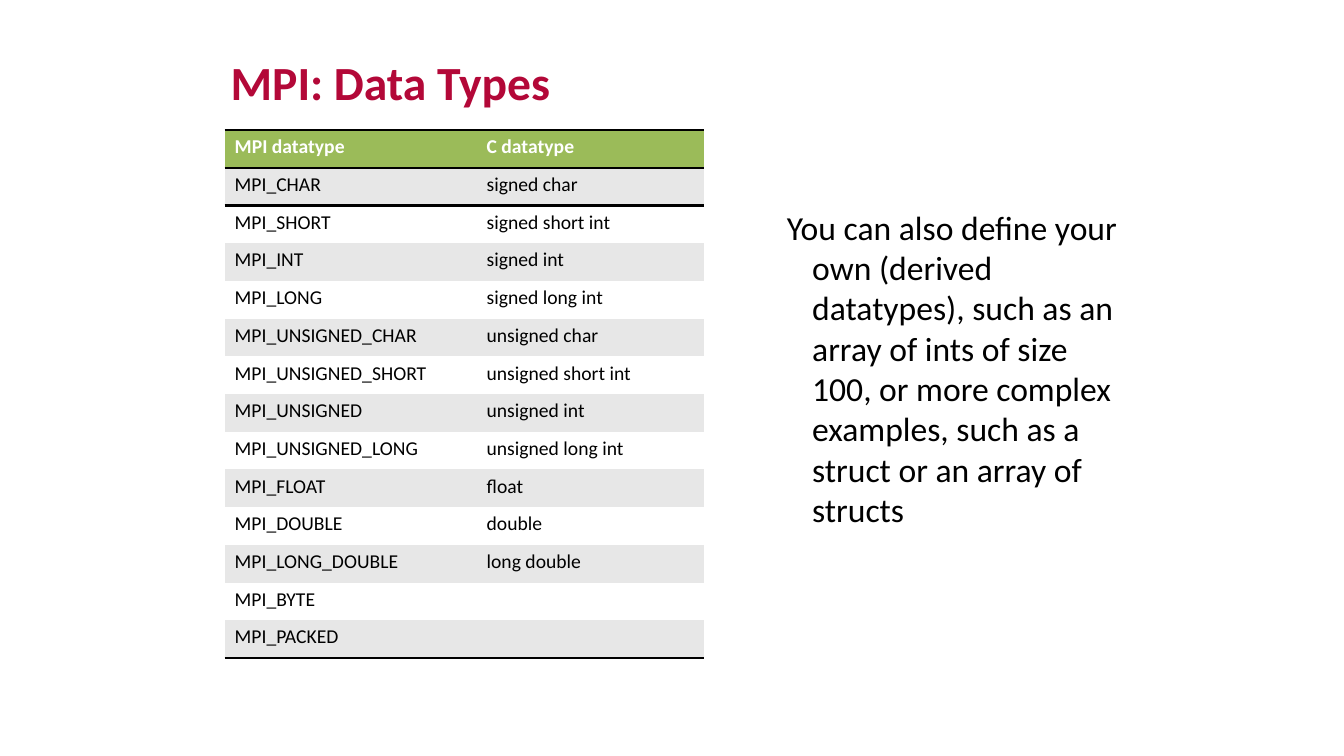
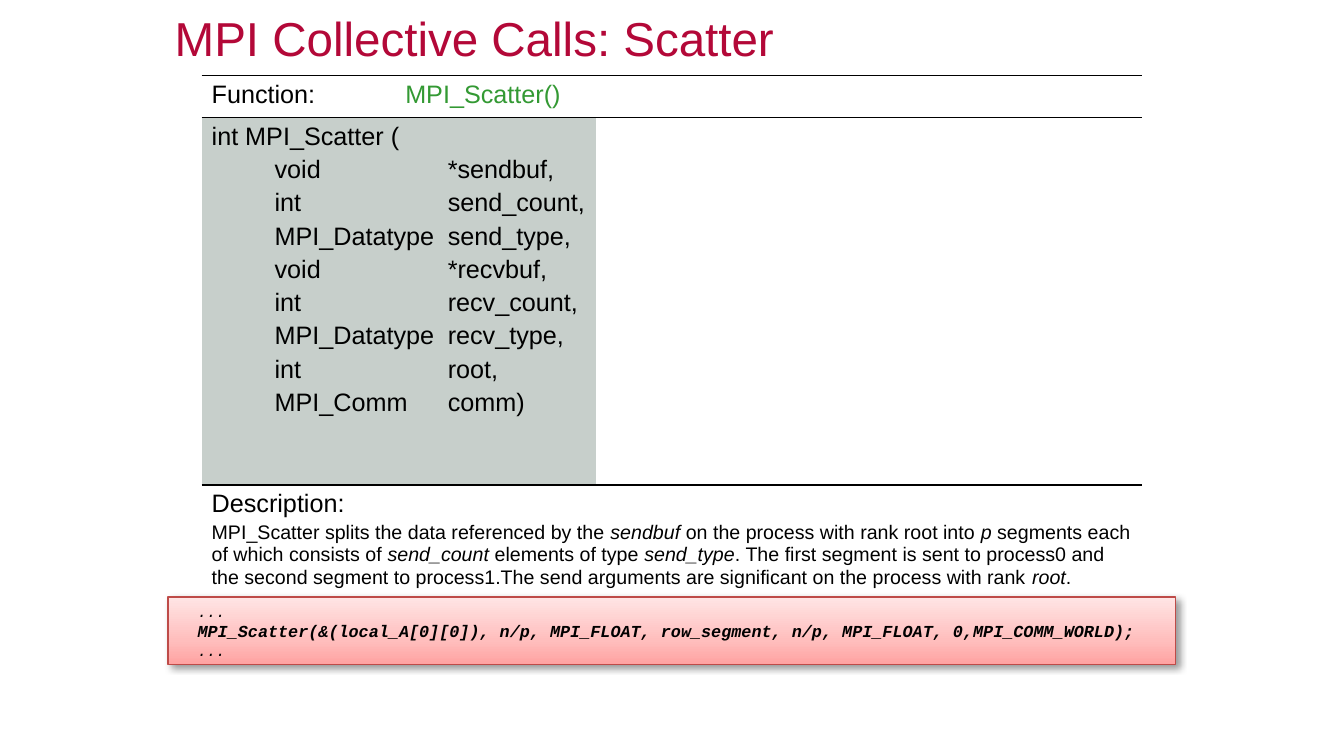
from lxml import etree
from pptx import Presentation
from pptx.dml.color import RGBColor
from pptx.enum.shapes import MSO_SHAPE
from pptx.enum.text import MSO_ANCHOR, MSO_AUTO_SIZE, PP_ALIGN
from pptx.oxml.ns import qn
from pptx.util import Cm, Pt

LEFT, CENTER = PP_ALIGN.LEFT, PP_ALIGN.CENTER
TOP, MIDDLE = MSO_ANCHOR.TOP, MSO_ANCHOR.MIDDLE
NO_FIT = MSO_AUTO_SIZE.NONE
RECT = MSO_SHAPE.RECTANGLE

CRIMSON = RGBColor(0xB3, 0x08, 0x38)
BLACK = RGBColor(0x00, 0x00, 0x00)
WHITE = RGBColor(0xFF, 0xFF, 0xFF)
HEADER_GREEN = RGBColor(0x9B, 0xBB, 0x59)
BAND_GRAY = RGBColor(0xE7, 0xE7, 0xE7)
NAME_GREEN = RGBColor(0x33, 0x99, 0x33)
CODE_GRAY = RGBColor(0xC7, 0xCF, 0xCB)
CALL_RED = RGBColor(0xBE, 0x4B, 0x48)
CALL_STOPS = [
    (0, RGBColor(0xFF, 0xE5, 0xE5)),
    (65, RGBColor(0xFF, 0xBE, 0xBD)),
    (100, RGBColor(0xFF, 0xA2, 0xA1)),
]
PLAIN_TABLE = "{2D5ABB26-0587-4C30-8999-92F81FD0307C}"

TITLES = [
    ("MPI: Data Types", "Calibri", True, LEFT, TOP, (5.56, 1.2, 12.73, 1.55)),
    ("MPI Collective Calls: Scatter", "Arial", False, CENTER, MIDDLE,
     (1.9, 0, 20.12, 1.87)),
]
DATATYPES = [
    ("MPI datatype", "C datatype"),
    ("MPI_CHAR", "signed char"),
    ("MPI_SHORT", "signed short int"),
    ("MPI_INT", "signed int"),
    ("MPI_LONG", "signed long int"),
    ("MPI_UNSIGNED_CHAR", "unsigned char"),
    ("MPI_UNSIGNED_SHORT", "unsigned short int"),
    ("MPI_UNSIGNED", "unsigned int"),
    ("MPI_UNSIGNED_LONG", "unsigned long int"),
    ("MPI_FLOAT", "float"),
    ("MPI_DOUBLE", "double"),
    ("MPI_LONG_DOUBLE", "long double"),
    ("MPI_BYTE", ""),
    ("MPI_PACKED", ""),
]
SIGNATURE = [
    "int MPI_Scatter (",
    "         void\t*sendbuf,",
    "         int\tsend_count,",
    "         MPI_Datatype\tsend_type,",
    "         void\t*recvbuf,",
    "         int\trecv_count,",
    "         MPI_Datatype\trecv_type,",
    "         int\troot,",
    "         MPI_Comm\tcomm)",
]
DESCRIPTION = [
    ("MPI_Scatter splits the data referenced by the ", False),
    ("sendbuf", True),
    (" on the process with rank root into ", False),
    ("p", True),
    (" segments each of which consists of ", False),
    ("send_count", True),
    (" elements of type ", False),
    ("send_type", True),
    (". The first segment is sent to process0 and the second segment to "
     "process1.The send arguments are significant on the process with rank ", False),
    ("root", True),
    (".", False),
]
CALL = [
    ("...", 11, False),
    ("MPI_Scatter(&(local_A[0][0]), n/p, MPI_FLOAT, row_segment, n/p, "
     "MPI_FLOAT, 0,MPI_COMM_WORLD);", 12, True),
    ("...", 11, False),
]


def add_run(p, text, font, size, color=BLACK, bold=False, italic=False):
    r = p.add_run()
    r.text = text
    r.font.name = font
    r.font.size = Pt(size)
    r.font.color.rgb = color
    r.font.bold = bold
    r.font.italic = italic


def add_ruled_table(s, left, top, widths, heights, rules, weight):
    frame = s.shapes.add_table(len(heights), len(widths), Cm(left), Cm(top),
                               Cm(sum(widths)), Cm(sum(heights)))
    table = frame.table
    table.horz_banding = False
    table._tbl.tblPr.find(qn("a:tableStyleId")).text = PLAIN_TABLE
    for col, width in zip(table.columns, widths):
        col.width = Cm(width)
    for row, height in zip(table.rows, heights):
        row.height = Cm(height)
    for i, row in enumerate(table.rows):
        for cell in row.cells:
            tcPr = cell._tc.get_or_add_tcPr()
            for side, edge in (("a:lnT", i), ("a:lnB", i + 1)):
                if edge in rules:
                    ln = etree.SubElement(tcPr, qn(side), w=str(Pt(weight)))
                    fill = etree.SubElement(ln, qn("a:solidFill"))
                    etree.SubElement(fill, qn("a:srgbClr"), val=str(BLACK))
    return table


prs = Presentation()
prs.slide_width = Cm(33.87)
prs.slide_height = Cm(19.05)

slides = []
for text, font, bold, align, anchor, box in TITLES:
    s = prs.slides.add_slide(prs.slide_layouts[5])
    title = s.shapes.title
    title.left, title.top, title.width, title.height = [Cm(v) for v in box]
    tf = title.text_frame
    tf.auto_size = NO_FIT
    tf.vertical_anchor = anchor
    p = tf.paragraphs[0]
    p.alignment = align
    add_run(p, text, font, 34, CRIMSON, bold)
    slides.append(s)
types_slide, scatter_slide = slides

rows = len(DATATYPES)
table = add_ruled_table(types_slide, 5.66, 3.28, [6.35, 5.72], [0.95] * rows,
                        (0, 1, rows), 2)
for i, names in enumerate(DATATYPES):
    header = i == 0
    for j, name in enumerate(names):
        cell = table.cell(i, j)
        cell.fill.solid()
        cell.fill.fore_color.rgb = HEADER_GREEN if header else BAND_GRAY if i % 2 else WHITE
        p = cell.text_frame.paragraphs[0]
        if name:
            add_run(p, name, "Calibri", 14, WHITE if header else BLACK, header)
        else:
            etree.SubElement(p._p, qn("a:endParaRPr"), sz="1400")

note = types_slide.shapes.add_textbox(Cm(18.62), Cm(5.08), Cm(10.16), Cm(8.46))
tf = note.text_frame
tf.word_wrap = True
p = tf.paragraphs[0]
pPr = p._p.get_or_add_pPr()
pPr.set("marL", str(Cm(1.6)))
pPr.set("indent", str(Cm(-0.64)))
add_run(p, "You can also define your own (derived datatypes), such as an array of "
        "ints of size 100, or more complex examples, such as a struct or an array "
        "of structs", "Calibri", 24)

table = add_ruled_table(scatter_slide, 5.08, 1.9, [4.88, 5.05, 13.77],
                        [1.06, 9.26, 2.92], (0, 1, 3), 1)
table.cell(0, 1).merge(table.cell(0, 2))
table.cell(1, 0).merge(table.cell(1, 1))
table.cell(2, 0).merge(table.cell(2, 2))
for col, color in ((0, CODE_GRAY), (2, WHITE)):
    cell = table.cell(1, col)
    cell.fill.solid()
    cell.fill.fore_color.rgb = color
for col, text, color in ((0, "Function:", BLACK), (1, "MPI_Scatter()", NAME_GREEN)):
    add_run(table.cell(0, col).text_frame.paragraphs[0], text, "Arial", 18, color)

tf = table.cell(1, 0).text_frame
for i, line in enumerate(SIGNATURE):
    p = tf.add_paragraph() if i else tf.paragraphs[0]
    if i:
        tabs = etree.SubElement(p._p.get_or_add_pPr(), qn("a:tabLst"))
        etree.SubElement(tabs, qn("a:tab"), pos=str(Cm(5.95)), algn="l")
        p.space_before = Pt(3.6)
    add_run(p, line, "Arial", 18)

tf = table.cell(2, 0).text_frame
add_run(tf.paragraphs[0], "Description:", "Arial", 18)
p = tf.add_paragraph()
p.space_before = Pt(2.8)
for text, italic in DESCRIPTION:
    add_run(p, text, "Arial", 14, italic=italic)

sp = scatter_slide.shapes.add_shape(RECT, Cm(4.23), Cm(15.04), Cm(25.4), Cm(1.7))
sp.fill.gradient()
sp.fill.gradient_angle = 270
spPr = sp._element.spPr
stops = spPr.find(qn("a:gradFill")).find(qn("a:gsLst"))
for stop in list(stops):
    stops.remove(stop)
for pos, color in CALL_STOPS:
    stop = etree.SubElement(stops, qn("a:gs"), pos=str(pos * 1000))
    etree.SubElement(stop, qn("a:srgbClr"), val=str(color))
sp.line.color.rgb = CALL_RED
sp.line.width = Pt(1)
sp.shadow.inherit = False
shadow = etree.SubElement(spPr.find(qn("a:effectLst")), qn("a:outerShdw"),
                          blurRad=str(Pt(5)), dist=str(Pt(3)), dir="2700000",
                          algn="tl", rotWithShape="0")
shade = etree.SubElement(shadow, qn("a:srgbClr"), val=str(BLACK))
etree.SubElement(shade, qn("a:alpha"), val="40000")

tf = sp.text_frame
tf.word_wrap = True
tf.vertical_anchor = MIDDLE
for i, (text, size, bold) in enumerate(CALL):
    p = tf.add_paragraph() if i else tf.paragraphs[0]
    p.alignment = LEFT
    pPr = p._p.get_or_add_pPr()
    pPr.set("marL", str(Cm(0.25)))
    pPr.set("indent", str(Cm(0.25)))
    add_run(p, text, "Courier New", size, bold=bold, italic=True)

prs.save("out.pptx")
